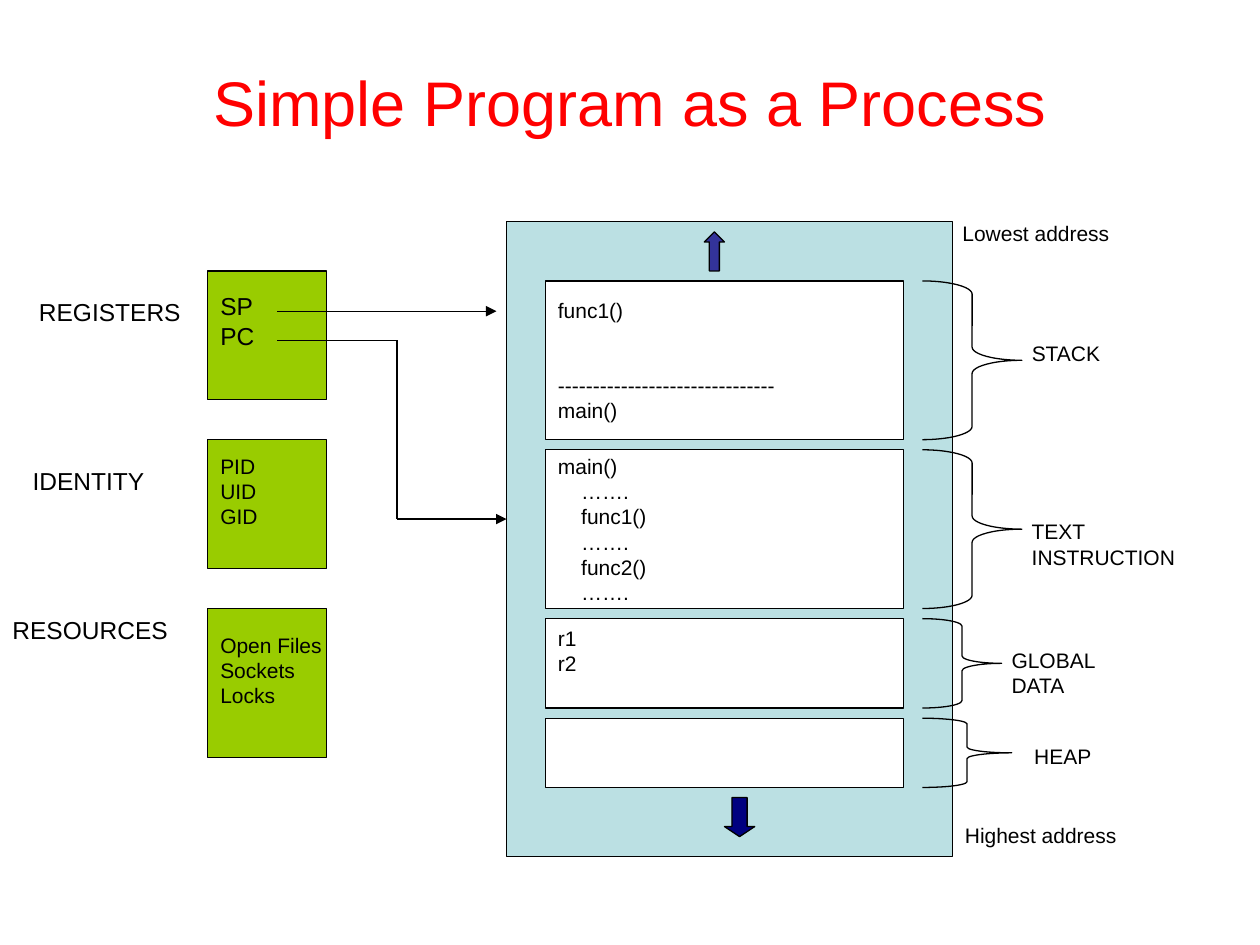
from lxml import etree
from pptx import Presentation
from pptx.dml.color import RGBColor
from pptx.enum.shapes import MSO_CONNECTOR, MSO_SHAPE
from pptx.enum.text import MSO_ANCHOR, PP_ALIGN
from pptx.oxml.ns import qn
from pptx.util import Inches, Pt

RECT, BRACE = MSO_SHAPE.RECTANGLE, MSO_SHAPE.RIGHT_BRACE
UP, DOWN = MSO_SHAPE.UP_ARROW, MSO_SHAPE.DOWN_ARROW
STRAIGHT = MSO_CONNECTOR.STRAIGHT
LEFT, CENTER = PP_ALIGN.LEFT, PP_ALIGN.CENTER
TOP, MIDDLE = MSO_ANCHOR.TOP, MSO_ANCHOR.MIDDLE


def color(value):
    return RGBColor.from_string(value)


def write(tf, text, size=12, fill="000000", align=LEFT, anchor=TOP,
          right=0, bottom=0.05, gap_before=None):
    """Fill a frame, one paragraph a line; gap_before maps line index to points."""
    tf.word_wrap = True
    tf.vertical_anchor = anchor
    tf.margin_left, tf.margin_top = Inches(0.1), Inches(0.05)
    tf.margin_right, tf.margin_bottom = Inches(right), Inches(bottom)
    for i, line in enumerate(text.split("\n")):
        p = tf.paragraphs[0] if i == 0 else tf.add_paragraph()
        p.alignment = align
        if gap_before and i in gap_before:
            p.space_before = Pt(gap_before[i])
        r = p.add_run()
        r.text = line
        r.font.name, r.font.size = "Arial", Pt(size)
        r.font.color.rgb = color(fill)


class Diagram:
    ink = "000000"
    weight = 0.75

    def __init__(self, slide):
        self.s = slide

    def title(self, text):
        sp = self.s.shapes.title
        sp.left, sp.top = Inches(0.5), Inches(0.3)
        sp.width, sp.height = Inches(9), Inches(1.01)
        write(sp.text_frame, text, size=36, fill="FF0000", align=CENTER,
              anchor=MIDDLE, right=0.1)

    def outline(self, sp):
        sp.line.color.rgb = color(self.ink)
        sp.line.width = Pt(self.weight)

    def shape(self, kind, x, y, w, h, fill=None, adjust=()):
        sp = self.s.shapes.add_shape(kind, Inches(x), Inches(y), Inches(w), Inches(h))
        sp.shadow.inherit = False
        if fill:
            sp.fill.solid()
            sp.fill.fore_color.rgb = color(fill)
        else:
            sp.fill.background()
        self.outline(sp)
        for i, value in enumerate(adjust):
            sp.adjustments[i] = value
        return sp

    def box(self, x, y, w, h, fill, text="", **fmt):
        sp = self.shape(RECT, x, y, w, h, fill)
        if text:
            write(sp.text_frame, text, anchor=MIDDLE, **fmt)

    def brace(self, x, y, w, h):
        self.shape(BRACE, x, y, w, h, adjust=(h / 12 / min(w, h), 0.5))

    def label(self, x, y, w, h, text, size=12):
        tb = self.s.shapes.add_textbox(Inches(x), Inches(y), Inches(w), Inches(h))
        write(tb.text_frame, text, size=size)

    def line(self, x1, y1, x2, y2, arrow=False):
        c = self.s.shapes.add_connector(STRAIGHT, Inches(x1), Inches(y1),
                                        Inches(x2), Inches(y2))
        self.outline(c)
        sp_pr = c._element.spPr
        if arrow:
            etree.SubElement(sp_pr.find(qn("a:ln")), qn("a:tailEnd"), type="triangle")
        etree.SubElement(sp_pr, qn("a:effectLst"))


def draw_memory(d):
    d.box(4.02, 1.76, 3.54, 5.04, "BBE0E3")
    code = "main()\n    …….\n    func1()\n    …….\n    func2()\n    ……."
    stack = "func1()\n-------------------------------\nmain()"
    # height, text, format, brace width, label (x, y, w, h, text)
    segments = [
        (1.26, stack, {"gap_before": {1: 28.5}}, 0.79, (8.09, 2.65, 0.75, 0.3, "STACK")),
        (1.26, code, {}, 0.79, (8.09, 4.07, 1.34, 0.5, "TEXT\nINSTRUCTION")),
        (0.71, "r1\nr2", {"bottom": 0.25}, 0.63, (7.93, 5.09, 0.86, 0.5, "GLOBAL\nDATA")),
        (0.55, "", {}, 0.71, (8.11, 5.85, 0.65, 0.3, "HEAP")),
    ]
    y = 2.23
    for h, text, fmt, brace_w, label in segments:
        d.box(4.33, y, 2.84, h, "FFFFFF", text, **fmt)
        d.brace(7.32, y, brace_w, h)
        d.label(*label)
        y += h + 0.08
    d.shape(UP, 5.59, 1.84, 0.16, 0.31, "333399", (0.5, 0.5))
    d.shape(DOWN, 5.75, 6.33, 0.24, 0.31, "000080", (0.5, 0.33))
    d.label(7.54, 1.7, 1.36, 0.3, "Lowest address")
    d.label(7.56, 6.48, 1.4, 0.3, "Highest address")


def draw_process_state(d):
    # height, text, size, bottom inset, label (x, y, w, text)
    groups = [
        (1.02, "SP\nPC", 14, 0.28, (0.21, 2.31, 1.32, "REGISTERS")),
        (1.02, "PID\nUID\nGID", 12, 0.25, (0.16, 3.65, 1.09, "IDENTITY")),
        (1.18, "Open Files\nSockets\nLocks", 12, 0.25, (0, 4.83, 1.43, "RESOURCES")),
    ]
    y = 2.15
    for h, text, size, bottom, (lx, ly, lw, name) in groups:
        d.box(1.65, y, 0.94, h, "99CC00", text, size=size, bottom=bottom)
        d.label(lx, ly, lw, 0.34, name, size=14)
        y += h + 0.32


def draw_pointers(d):
    d.line(2.2, 2.47, 3.94, 2.47, arrow=True)
    d.line(2.2, 2.7, 3.15, 2.7)
    d.line(3.15, 2.7, 3.15, 4.12)
    d.line(3.15, 4.12, 4.02, 4.12, arrow=True)


def main():
    prs = Presentation()
    prs.slide_width, prs.slide_height = Inches(10), Inches(7.5)
    d = Diagram(prs.slides.add_slide(prs.slide_layouts[5]))
    d.title("Simple Program as a Process")
    draw_memory(d)
    draw_process_state(d)
    draw_pointers(d)
    prs.save("out.pptx")


if __name__ == "__main__":
    main()
